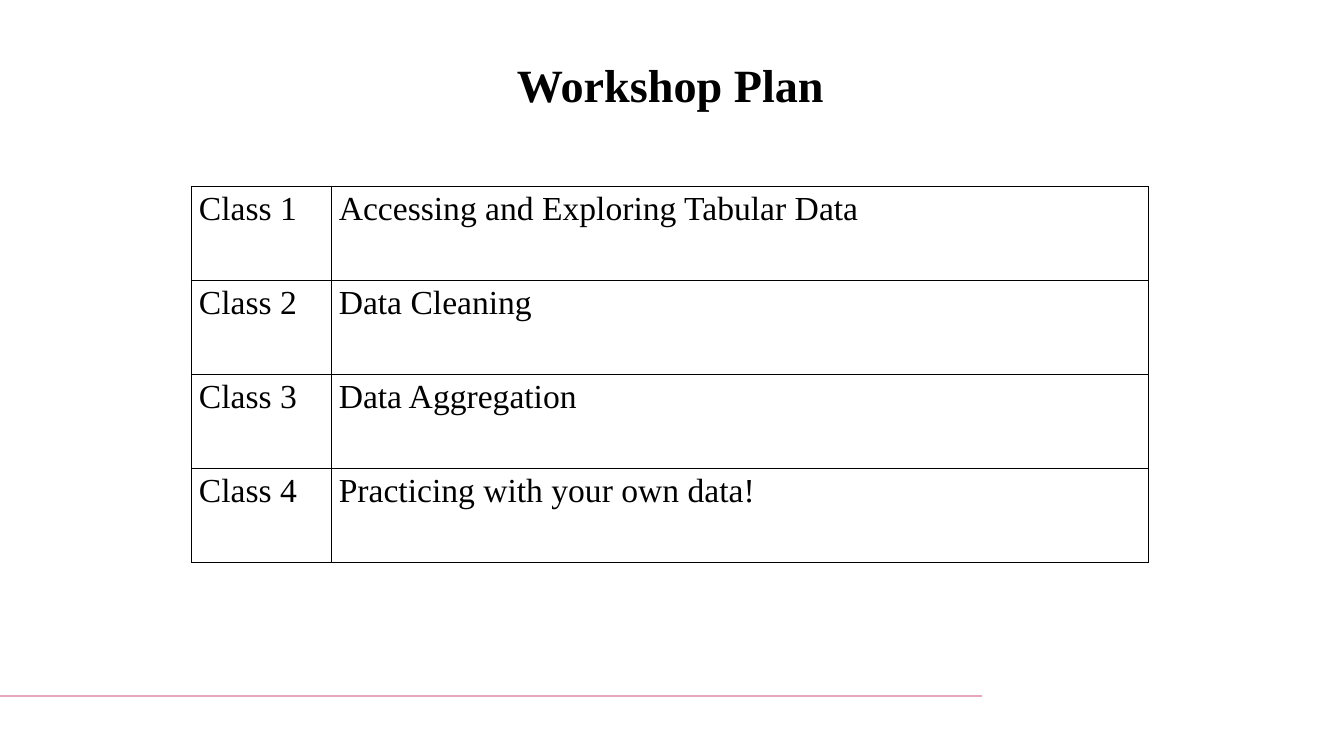
import pptx
import pptx.util
import pptx.dml.color
import pptx.enum.shapes
import pptx.enum.text
import pptx.oxml
import pptx.oxml.ns

Cm, Pt = pptx.util.Cm, pptx.util.Pt
BLACK = pptx.dml.color.RGBColor(0x00, 0x00, 0x00)
CRIMSON = pptx.dml.color.RGBColor(0xBC, 0x09, 0x40)
FONT = "Times New Roman"


def add_run(p, text, size, bold=False):
    r = p.add_run()
    r.text = text
    r.font.name = FONT
    r.font.size = Pt(size)
    r.font.bold = bold
    r.font.color.rgb = BLACK


def add_borders(cell):
    tc_pr = cell._tc.get_or_add_tcPr()
    for i, side in enumerate(("lnL", "lnR", "lnT", "lnB")):
        tc_pr.insert(i, pptx.oxml.parse_xml(
            f'<a:{side} {pptx.oxml.ns.nsdecls("a")} w="{Pt(1)}"><a:solidFill>'
            f'<a:srgbClr val="{BLACK}"/></a:solidFill></a:{side}>'))


prs = pptx.Presentation()
prs.slide_width, prs.slide_height = Cm(45.16), Cm(25.4)
s = prs.slides.add_slide(prs.slide_layouts[5])

# Footer rule
rule = s.shapes.add_shape(pptx.enum.shapes.MSO_SHAPE.RECTANGLE,
                          Cm(0), Cm(23.37), Cm(33), Cm(0.03))
rule.shadow.inherit = False
rule.fill.solid()
rule.fill.fore_color.rgb = CRIMSON
rule.line.fill.background()

# Title
title = s.shapes.title
title.left, title.top, title.width, title.height = Cm(1.68), Cm(1.63), Cm(41.7), Cm(2.13)
tf = title.text_frame
tf.margin_left = tf.margin_right = tf.margin_top = tf.margin_bottom = 0
tf.vertical_anchor = pptx.enum.text.MSO_ANCHOR.BOTTOM
tf.auto_size = pptx.enum.text.MSO_AUTO_SIZE.NONE
p = tf.paragraphs[0]
p.alignment = pptx.enum.text.PP_ALIGN.CENTER
add_run(p, "Workshop Plan", 44, bold=True)

# Class table
topics = ["Accessing and Exploring Tabular Data", "Data Cleaning",
          "Data Aggregation", "Practicing with your own data!"]
row_height = 3.16
table = s.shapes.add_table(len(topics), 2, Cm(6.43), Cm(6.27),
                           Cm(32.16), Cm(row_height * len(topics))).table
table.first_row = table.horz_banding = False
table.columns[0].width, table.columns[1].width = Cm(4.7), Cm(27.46)
for i, topic in enumerate(topics):
    table.rows[i].height = Cm(row_height)
    for j, text in enumerate((f"Class {i + 1}", topic)):
        cell = table.cell(i, j)
        cell.fill.background()
        add_borders(cell)
        add_run(cell.text_frame.paragraphs[0], text, 32)

prs.save("out.pptx")
